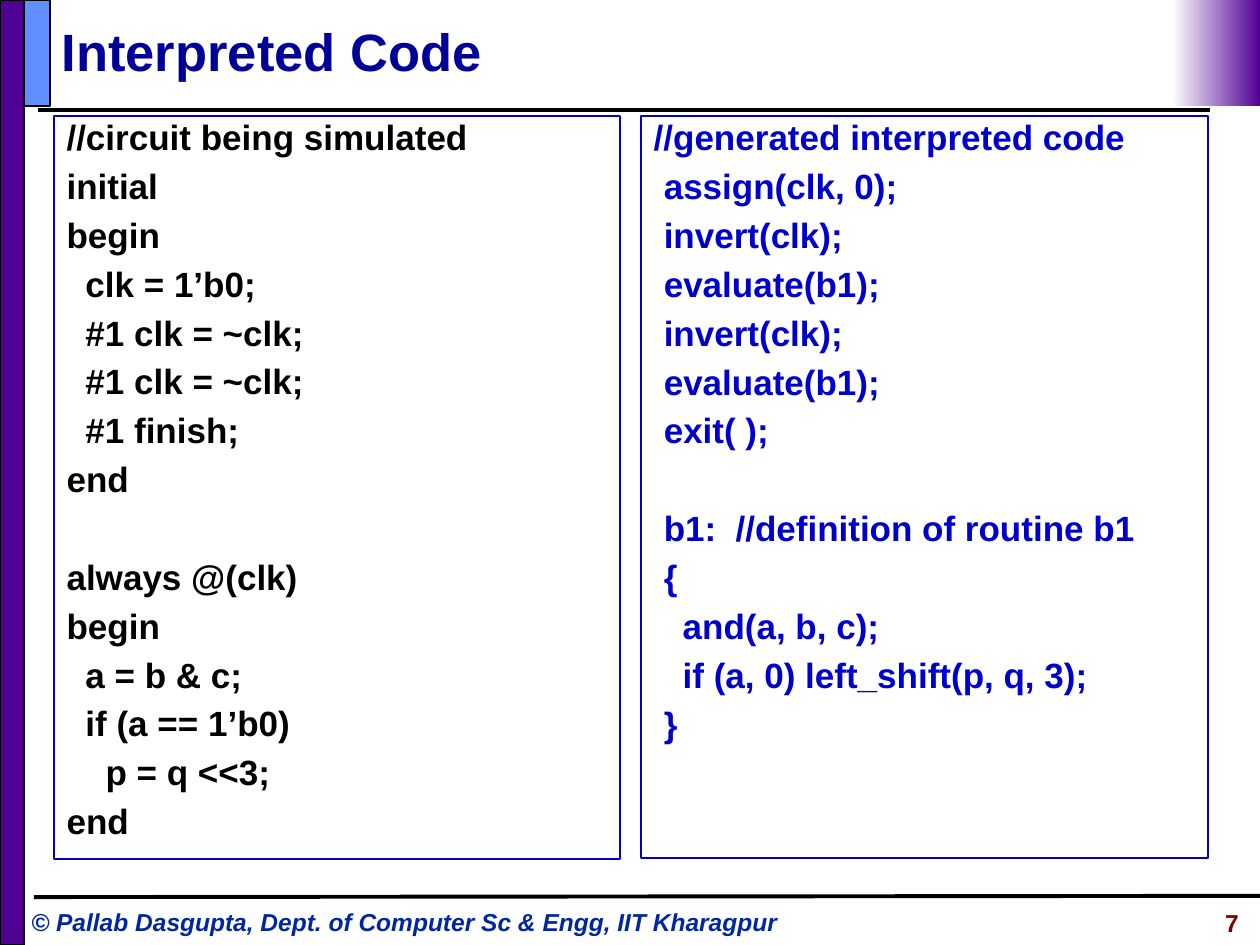
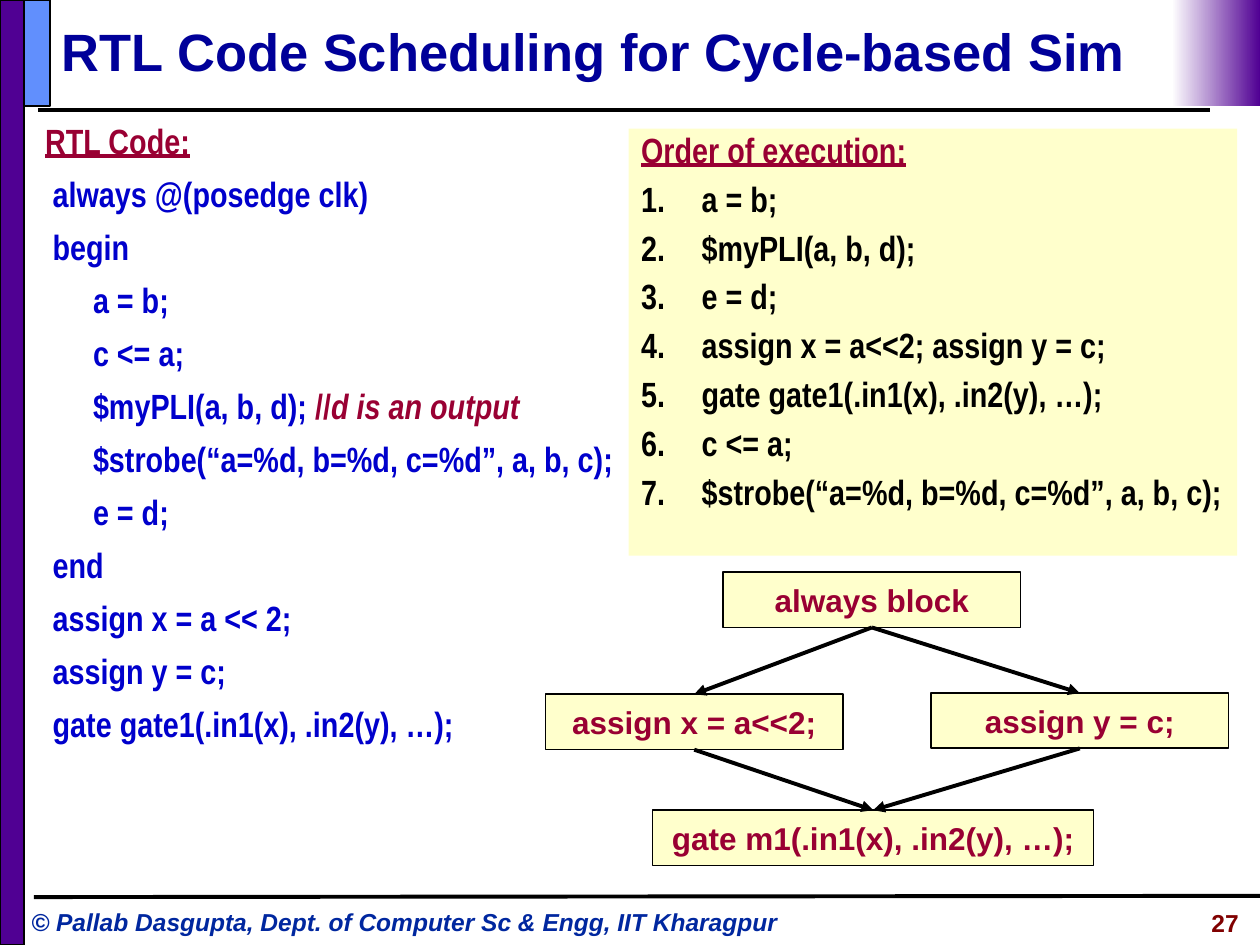
from lxml import etree
from pptx import Presentation
from pptx.dml.color import RGBColor
from pptx.enum.shapes import MSO_CONNECTOR, MSO_SHAPE
from pptx.enum.text import MSO_ANCHOR, MSO_AUTO_SIZE, PP_ALIGN
from pptx.oxml.ns import qn
from pptx.util import Inches, Pt

RECT = MSO_SHAPE.RECTANGLE
STRAIGHT = MSO_CONNECTOR.STRAIGHT
TOP, MIDDLE = MSO_ANCHOR.TOP, MSO_ANCHOR.MIDDLE
LEFT, CENTER, RIGHT = PP_ALIGN.LEFT, PP_ALIGN.CENTER, PP_ALIGN.RIGHT
FIXED = MSO_AUTO_SIZE.NONE

BLACK, WHITE, PURPLE, SKY = "000000", "FFFFFF", "500093", "618FFD"
NAVY, BLUE, WINE, CREAM = "000099", "0000CC", "990033", "FFFFCC"
INK, MAROON = "00279F", "800000"
NARROW = "Arial Narrow"
BOTTOM_SIDE, TOP_SIDE = 2, 0
GAP = 7.5
BREAK = 35.4


def rgb(code):
    return RGBColor.from_string(code)


def put(frame, text, size=20, color=BLACK, font="Arial", bold=True, italic=False,
        under=False, align=LEFT, space=0, lead=1.0, left=0, hang=0,
        number=False, join=False):
    para = frame.paragraphs[-1]
    if not join:
        if para.runs:
            para = frame.add_paragraph()
        para.alignment = align
        para.space_before = Pt(space)
        para.line_spacing = lead
        props = para._p.get_or_add_pPr()
        props.set("marL", str(Inches(left)))
        props.set("indent", str(-Inches(hang)))
        if number:
            etree.SubElement(props, qn("a:buAutoNum")).set("type", "arabicPeriod")
    run = para.add_run()
    run.text = text
    run.font.size = Pt(size)
    run.font.name = font
    run.font.bold = bold
    run.font.italic = italic
    run.font.underline = under
    run.font.color.rgb = rgb(color)


class Deck:
    def __init__(self):
        self.show = Presentation()
        self.show.slide_width = Inches(10)
        self.show.slide_height = Inches(7.5)
        self.slide = None

    def page(self, title, number):
        self.slide = self.show.slides.add_slide(self.show.slide_layouts[5])
        self.line((0.3, 0.87), (9.6, 0.87))
        self.text(0.15, 7.15, 6.37, 0.34,
                  "© Pallab Dasgupta, Dept. of Computer Sc & Engg, IIT Kharagpur",
                  size=14, color=INK, italic=True)
        self.box(0, 0, 0.19, 7.5, fill=PURPLE, edge=BLACK)
        self.line((0.27, 7.12), (10, 7.11))
        self.box(0.19, 0, 0.21, 0.84, fill=SKY, edge=BLACK)
        self.fade(9.3, 0, 0.7, 0.84, PURPLE, WHITE)
        self.head(title)
        self.text(8.18, 7.16, 1.75, 0.35, str(number),
                  size=14, color=MAROON, align=RIGHT)

    def head(self, title):
        shape = self.slide.shapes.title
        shape.left, shape.top = Inches(0.39), Inches(0.1)
        shape.width, shape.height = Inches(9.1), Inches(0.61)
        frame = self.setup(shape, MIDDLE)
        put(frame, title, size=30, color=NAVY)

    def setup(self, shape, anchor=TOP, wrap=True):
        frame = shape.text_frame
        frame.word_wrap = wrap
        frame.auto_size = FIXED
        frame.vertical_anchor = anchor
        return frame

    def text(self, x, y, w, h, words=None, **style):
        shape = self.slide.shapes.add_textbox(Inches(x), Inches(y), Inches(w), Inches(h))
        frame = self.setup(shape)
        if words:
            put(frame, words, **style)
        return frame

    def box(self, x, y, w, h, fill=None, edge=None):
        shape = self.slide.shapes.add_shape(RECT, Inches(x), Inches(y), Inches(w), Inches(h))
        shape.shadow.inherit = False
        if fill:
            shape.fill.solid()
            shape.fill.fore_color.rgb = rgb(fill)
        else:
            shape.fill.background()
        if edge:
            shape.line.color.rgb = rgb(edge)
            shape.line.width = Pt(1)
        else:
            shape.line.fill.background()
        return shape

    def fade(self, x, y, w, h, first, last):
        fill = self.box(x, y, w, h).fill
        fill.gradient()
        fill.gradient_angle = 180
        for stop, color, spot in zip(fill.gradient_stops, (first, last), (0, 1)):
            stop.color.rgb = rgb(color)
            stop.position = spot

    def node(self, x, y, w, words):
        shape = self.box(x, y, w, 0.44, fill=CREAM, edge=BLACK)
        put(self.setup(shape, MIDDLE, False), words, size=18, color=WINE, align=CENTER)
        return shape

    def line(self, start, end):
        points = [Inches(value) for value in (*start, *end)]
        wire = self.slide.shapes.add_connector(STRAIGHT, *points)
        wire.line.color.rgb = rgb(BLACK)
        wire.line.width = Pt(2.25)
        etree.SubElement(wire._element.spPr, qn("a:effectLst"))
        return wire

    def arrow(self, source, target):
        wire = self.line((0, 0), (0, 0))
        wire.begin_connect(source, BOTTOM_SIDE)
        wire.end_connect(target, TOP_SIDE)
        tail = etree.SubElement(wire.line._get_or_add_ln(), qn("a:tailEnd"))
        tail.set("type", "triangle")

    def code(self, x, w, h, color, parts):
        frame = self.setup(self.box(x, 0.92, w, h, edge=BLUE))
        for part in parts:
            for index, (left, hang, words) in enumerate(part):
                fresh = index == 0 and part is not parts[0]
                put(frame, words, color=color, lead=0.85, left=left, hang=hang,
                    space=BREAK if fresh else GAP)


def compare(deck):
    deck.page("Interpreted Code", 7)
    deck.code(0.43, 4.49, 5.9, BLACK, [
        [(0, 0, "//circuit being simulated"),
         (0, 0, "initial"),
         (0, 0, "begin"),
         (0.15, 0, "clk = 1’b0;"),
         (0.15, 0, "#1 clk = ~clk;"),
         (0.15, 0, "#1 clk = ~clk;"),
         (0.15, 0, "#1 finish;"),
         (0, 0, "end")],
        [(0, 0, "always @(clk)"),
         (0, 0, "begin"),
         (0.15, 0, "a = b & c;"),
         (0.15, 0, "if (a == 1’b0)"),
         (0.31, 0, "p = q <<3;"),
         (0, 0, "end")],
    ])
    deck.code(5.09, 4.5, 5.89, BLUE, [
        [(0, 0, "//generated interpreted code"),
         (0.08, 0, "assign(clk, 0);"),
         (0.08, 0, "invert(clk);"),
         (0.08, 0, "evaluate(b1);"),
         (0.08, 0, "invert(clk);"),
         (0.08, 0, "evaluate(b1);"),
         (0.08, 0, "exit( );")],
        [(0.65, 0.57, "b1:\t//definition of routine b1"),
         (0.08, 0, "{"),
         (0.23, 0, "and(a, b, c);"),
         (0.23, 0, "if (a, 0) left_shift(p, q, 3);"),
         (0.08, 0, "}")],
    ])


def schedule(deck):
    deck.page("RTL Code Scheduling for Cycle-based Sim", 27)
    style = dict(font=NARROW, space=GAP, lead=0.95)
    frame = deck.text(0.26, 0.92, 4.79, 6.4, "RTL Code:", color=WINE, under=True, **style)
    for left, words in [
        (0.06, "always @(posedge clk)"),
        (0.06, "begin"),
        (0.38, "a = b;"),
        (0.38, "c <= a;"),
        (0.38, "$myPLI(a, b, d); //d is an output"),
        (0.38, "$strobe(“a=%d, b=%d, c=%d”, a, b, c);"),
        (0.38, "e = d;"),
        (0.06, "end"),
        (0.06, "assign x = a << 2;"),
        (0.06, "assign y = c;"),
        (0.06, "gate gate1(.in1(x), .in2(y), …);"),
    ]:
        code, mark, note = words.partition("//")
        put(frame, code, color=BLUE, left=left, **style)
        if mark:
            put(frame, mark, color=WINE, font=NARROW, join=True)
            put(frame, note, color=WINE, font=NARROW, italic=True, join=True)

    style["lead"] = 0.85
    frame = deck.setup(deck.box(4.99, 1.02, 4.83, 3.39, fill=CREAM))
    put(frame, "Order of execution:", color=WINE, under=True, **style)
    for step in [
        "a = b;",
        "$myPLI(a, b, d);",
        "e = d;",
        "assign x = a<<2; assign y = c;",
        "gate gate1(.in1(x), .in2(y), …);",
        "c <= a;",
        "$strobe(“a=%d, b=%d, c=%d”, a, b, c);",
    ]:
        put(frame, step, left=0.48, hang=0.48, number=True, **style)

    always = deck.node(5.74, 4.54, 2.36, "always block")
    shift = deck.node(4.33, 5.51, 2.36, "assign x = a<<2;")
    copy = deck.node(7.39, 5.5, 2.36, "assign y = c;")
    gate = deck.node(5.18, 6.43, 3.5, "gate m1(.in1(x), .in2(y), …);")
    for middle in (shift, copy):
        deck.arrow(always, middle)
        deck.arrow(middle, gate)


def main():
    deck = Deck()
    compare(deck)
    schedule(deck)
    deck.show.save("out.pptx")


if __name__ == "__main__":
    main()
